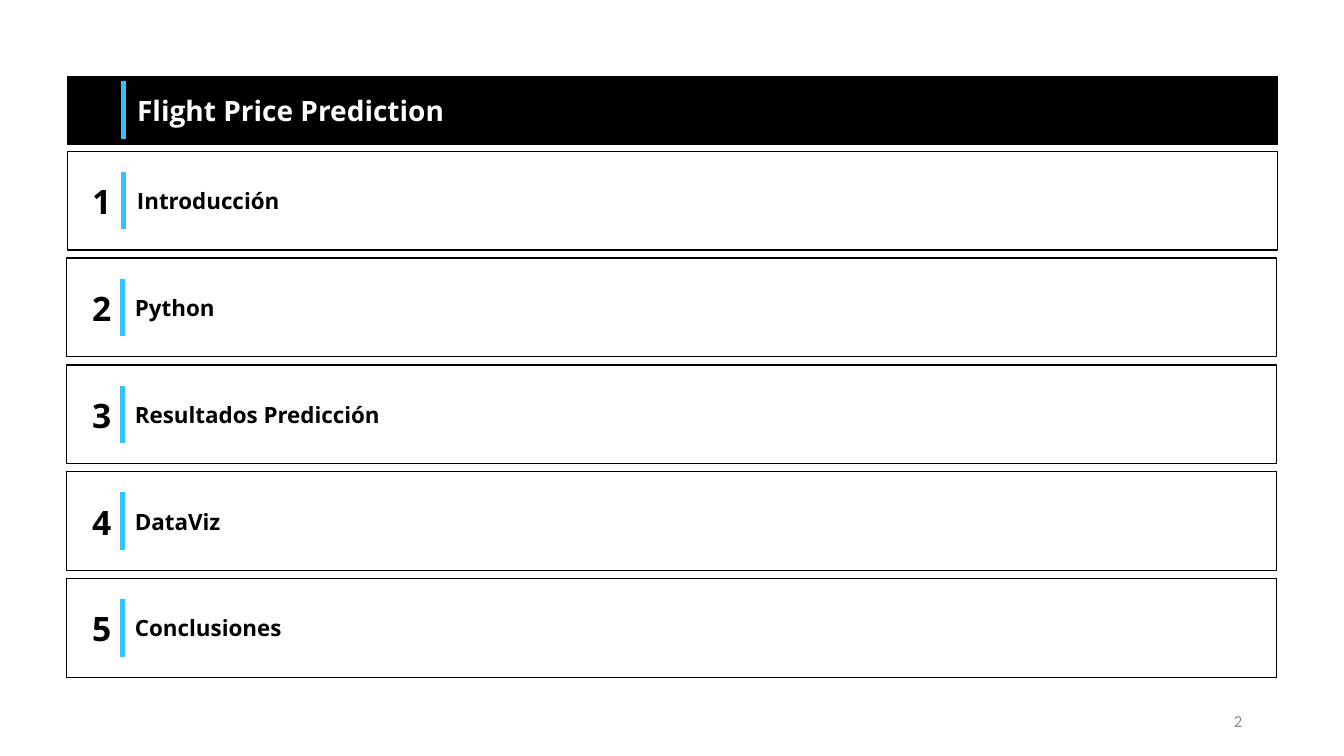
from pptx import Presentation
from pptx.dml.color import RGBColor
from pptx.enum.shapes import MSO_SHAPE
from pptx.enum.text import MSO_ANCHOR, MSO_AUTO_SIZE, PP_ALIGN
from pptx.util import Inches, Pt

BLACK, WHITE, ACCENT, GREY = "000000", "FFFFFF", "32C3FF", "8C8C8C"
TOPICS = ["Introducción", "Python", "Resultados Predicción", "DataViz", "Conclusiones"]
FIRST_ROW_TOP, ROW_PITCH, ROW_HEIGHT = 1.5, 1.06, 0.98


def color(hex_code):
    return RGBColor.from_string(hex_code)


def write(frame, text, font="Open Sans", size=16, fill=BLACK, bold=True,
          align=PP_ALIGN.LEFT, inset=0.05):
    frame.auto_size = MSO_AUTO_SIZE.NONE
    frame.word_wrap = True
    frame.vertical_anchor = MSO_ANCHOR.MIDDLE
    frame.margin_left = frame.margin_right = Inches(0.1)
    frame.margin_top = frame.margin_bottom = Inches(inset)
    paragraph = frame.paragraphs[0]
    paragraph.alignment = align
    run = paragraph.add_run()
    run.text = text
    run.font.name = font
    run.font.size = Pt(size)
    run.font.bold = bold
    run.font.color.rgb = color(fill)


class AgendaSlide:
    """Draws the agenda elements on one slide in a shared style."""

    def __init__(self, slide):
        self.slide = slide
        self.shapes = slide.shapes

    def box(self, left, top, width, height, fill, line, weight=1):
        panel = self.shapes.add_shape(MSO_SHAPE.RECTANGLE, Inches(left), Inches(top),
                                      Inches(width), Inches(height))
        panel.shadow.inherit = False
        panel.fill.solid()
        panel.fill.fore_color.rgb = color(fill)
        panel.line.color.rgb = color(line)
        panel.line.width = Pt(weight)
        return panel

    def accent(self, left, top):
        self.box(left, top, 0.04, 0.56, ACCENT, ACCENT, 0.75)

    def label(self, left, top, width, height, text, **style):
        caption = self.shapes.add_textbox(Inches(left), Inches(top),
                                          Inches(width), Inches(height))
        write(caption.text_frame, text, **style)

    def heading(self, text):
        banner = self.box(0.67, 0.76, 12, 0.67, BLACK, BLACK)
        title = self.shapes.title
        title.left, title.top = Inches(1.26), Inches(0.76)
        title.width, title.height = Inches(7.56), Inches(0.66)
        write(title.text_frame, text, size=20, fill=WHITE)
        banner.element.addnext(title.element)
        self.accent(1.21, 0.81)

    def topic(self, number, text):
        top = FIRST_ROW_TOP + (number - 1) * ROW_PITCH
        shift = 0.01 if number == 1 else 0
        self.box(0.66 + shift, top, 12, ROW_HEIGHT, WHITE, BLACK)
        self.label(1.24 + 2 * shift, top + 0.16, 7.58, 0.66, text)
        self.label(0.63, top + 0.26, 0.76, 0.47, str(number), size=24,
                   align=PP_ALIGN.CENTER, inset=0.06)
        self.accent(1.2 + shift, top + 0.21)

    def page_number(self, text):
        self.label(9.42, 6.95, 3, 0.4, text, font="Calibri", size=12, fill=GREY,
                   bold=False, align=PP_ALIGN.RIGHT)


def main():
    presentation = Presentation()
    presentation.slide_width = Inches(13.33)
    presentation.slide_height = Inches(7.5)
    agenda = AgendaSlide(presentation.slides.add_slide(presentation.slide_layouts[5]))
    agenda.heading("Flight Price Prediction")
    for number, topic in enumerate(TOPICS, start=1):
        agenda.topic(number, topic)
    agenda.page_number("2")
    presentation.save("out.pptx")


if __name__ == "__main__":
    main()
